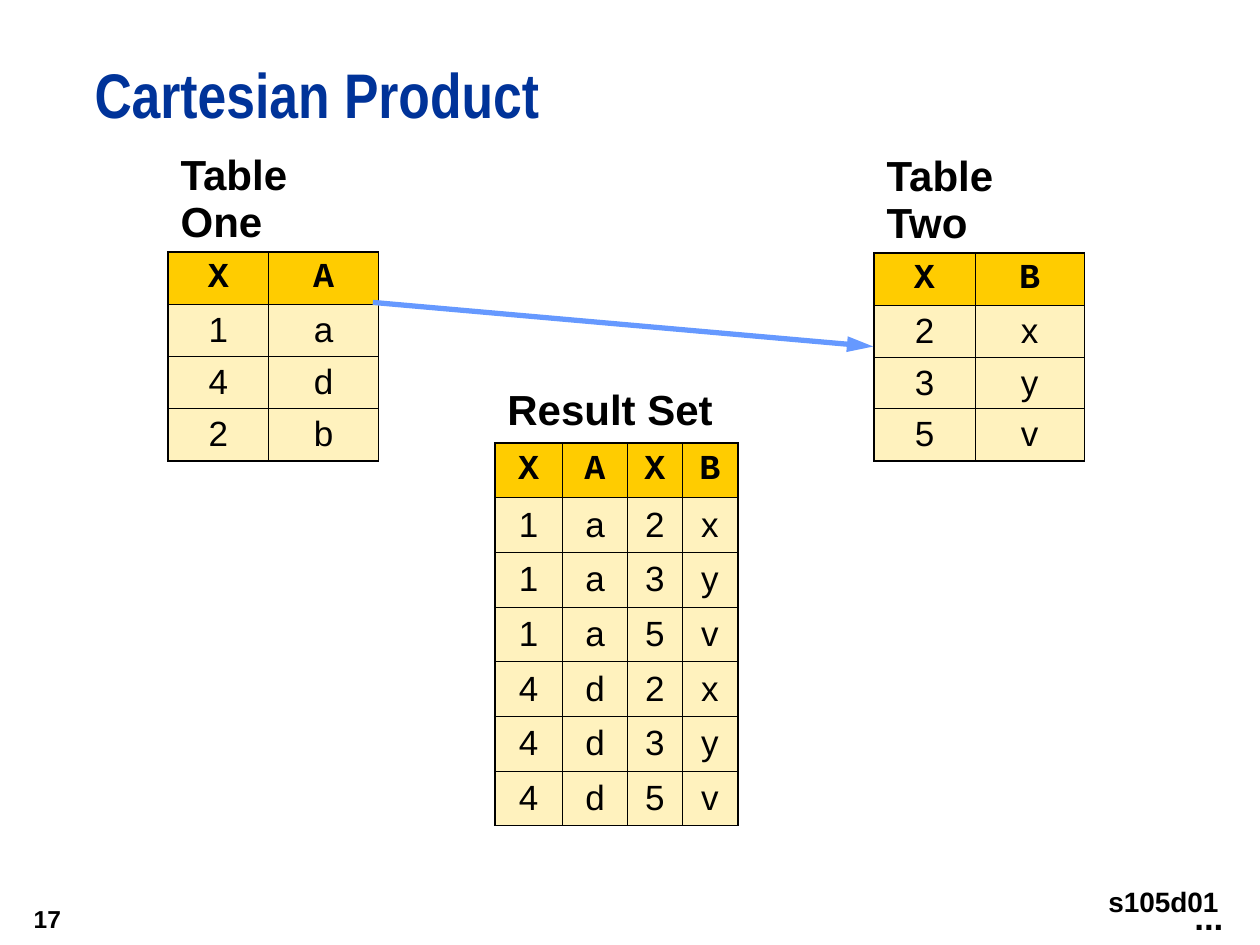
from lxml import etree
from pptx import Presentation
from pptx.dml.color import RGBColor
from pptx.enum.shapes import MSO_CONNECTOR
from pptx.enum.text import MSO_ANCHOR, PP_ALIGN
from pptx.oxml.ns import qn
from pptx.util import Pt

BLACK = RGBColor(0, 0, 0)
NAVY = RGBColor(0x00, 0x33, 0x99)
BLUE = RGBColor(0x66, 0x99, 0xFF)
GOLD = RGBColor(0xFF, 0xCC, 0x00)
CREAM = RGBColor(0xFF, 0xF2, 0xBE)
LEFT, CENTER, RIGHT = PP_ALIGN.LEFT, PP_ALIGN.CENTER, PP_ALIGN.RIGHT
TOP, MIDDLE = MSO_ANCHOR.TOP, MSO_ANCHOR.MIDDLE
STRAIGHT = MSO_CONNECTOR.STRAIGHT
THICK, THIN = 1.08, 0.45


class SlideBuilder:
    sans, narrow, mono = "Arial", "Arial Narrow", "Courier New"

    def __init__(self, slide):
        self.slide = slide

    def style(self, p, size, font, color=BLACK, bold=True, align=LEFT):
        p.alignment = align
        p.font.size = Pt(size)
        p.font.name = font
        p.font.bold = bold
        p.font.color.rgb = color

    def text(self, box, text, size, font=sans, color=BLACK, align=LEFT,
             anchor=TOP, inset=(7.2, 3.6), wrap=False, spacing=None):
        """Add bold text; inset gives the side and the top/bottom margins."""
        tf = self.slide.shapes.add_textbox(*map(Pt, box)).text_frame
        tf.word_wrap = wrap
        tf.vertical_anchor = anchor
        tf.margin_left = tf.margin_right = Pt(inset[0])
        tf.margin_top = tf.margin_bottom = Pt(inset[1])
        p = tf.paragraphs[0]
        p.text = text
        if spacing:
            p.line_spacing = Pt(spacing)
        self.style(p, size, font, color, align=align)

    def cell_text(self, cell, text, size, font, bold=True, align=LEFT):
        """Fill a cell, with margins small enough to keep the row height."""
        cell.text = text
        cell.vertical_anchor = MIDDLE
        cell.margin_top = cell.margin_bottom = Pt(1)
        self.style(cell.text_frame.paragraphs[0], size, font,
                   bold=bold, align=align)

    def borders(self, cell, **widths):
        """Set the L, R, T and B borders; a width of 0 hides the border."""
        tc_pr = cell._tc.get_or_add_tcPr()
        for i, side in enumerate("LRTB"):
            width = widths[side]
            ln = etree.Element(qn(f"a:ln{side}"), w=str(Pt(width)))
            if width:
                fill = etree.SubElement(ln, qn("a:solidFill"))
                etree.SubElement(fill, qn("a:srgbClr"), val=str(BLACK))
            else:
                etree.SubElement(ln, qn("a:noFill"))
            tc_pr.insert(i, ln)

    def table(self, left, top, col_widths, caption_height, row_height,
              caption, rows):
        """Add a captioned table whose first row holds the column names."""
        n_rows, n_cols = len(rows) + 1, len(col_widths)
        height = caption_height + row_height * len(rows)
        table = self.slide.shapes.add_table(
            n_rows, n_cols, Pt(left), Pt(top),
            Pt(sum(col_widths)), Pt(height)).table
        table.first_row = table.horz_banding = False
        for column, width in zip(table.columns, col_widths):
            column.width = Pt(width)
        for i, row in enumerate(table.rows):
            row.height = Pt(row_height if i else caption_height)

        for cell in table.rows[0].cells:
            cell.fill.background()
            self.borders(cell, L=0, R=0, T=0, B=THICK)
        title = table.cell(0, 0)
        title.merge(table.cell(0, n_cols - 1))
        self.cell_text(title, caption, 24, self.sans)

        for i, values in enumerate(rows, 1):
            header = i == 1
            for j, value in enumerate(values):
                cell = table.cell(i, j)
                cell.fill.solid()
                cell.fill.fore_color.rgb = GOLD if header else CREAM
                self.cell_text(cell, value, 20,
                               self.mono if header else self.sans,
                               bold=header, align=CENTER)
                self.borders(cell,
                             L=THIN if j else THICK,
                             R=THICK if j == n_cols - 1 else THIN,
                             T=THICK if header else THIN,
                             B=THICK if i == n_rows - 1 else THIN)

    def arrow(self, x1, y1, x2, y2):
        line = self.slide.shapes.add_connector(
            STRAIGHT, Pt(x1), Pt(y1), Pt(x2), Pt(y2))
        line.line.color.rgb = BLUE
        line.line.width = Pt(3)
        etree.SubElement(line.line._get_or_add_ln(), qn("a:tailEnd"),
                         type="triangle", w="med", len="lg")
        etree.SubElement(line._element.spPr, qn("a:effectLst"))


def main():
    prs = Presentation()
    prs.slide_width, prs.slide_height = Pt(720), Pt(540)
    s = SlideBuilder(prs.slides.add_slide(prs.slide_layouts[6]))

    one = ["1a", "4d", "2b"]
    two = ["2x", "3y", "5v"]
    product = [a + b for a in one[:2] for b in two]

    s.text((54, 36, 666, 54), "Cartesian Product", 36, s.narrow, NAVY,
           inset=(0, 0), wrap=True, spacing=39)
    s.table(96, 84.2, (57.6, 62.6), 60, 29.8, "Table One", ["XA"] + one)
    s.table(499.5, 84.2, (57.6, 62.6), 60.4, 29.7, "Table Two", ["XB"] + two)
    s.text((0, 510, 42, 30), "17", 14, align=RIGHT, anchor=MIDDLE)
    s.text((675.4, 508.3, 31, 31.7), "...", 20)
    s.table(282.7, 216.7, (38.7, 37.2, 31.2, 31.9), 36.4, 31.25,
            "Result Set", ["XAXB"] + product)
    s.arrow(213.1, 172.8, 499, 198)
    s.text((618.4, 498.2, 85, 33), "s105d01", 16, align=RIGHT,
           inset=(7.2, 7.2))
    prs.save("out.pptx")


if __name__ == "__main__":
    main()
